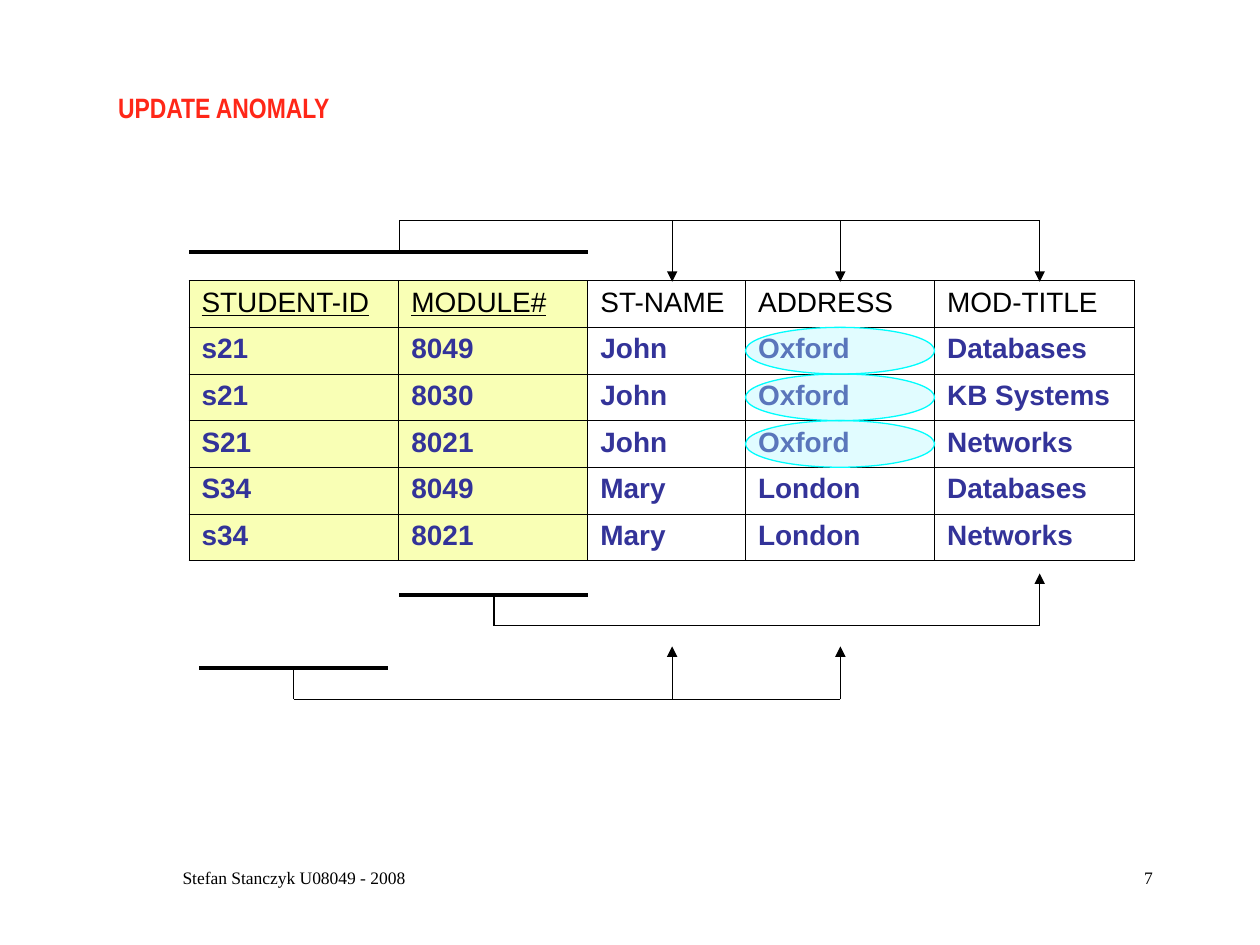
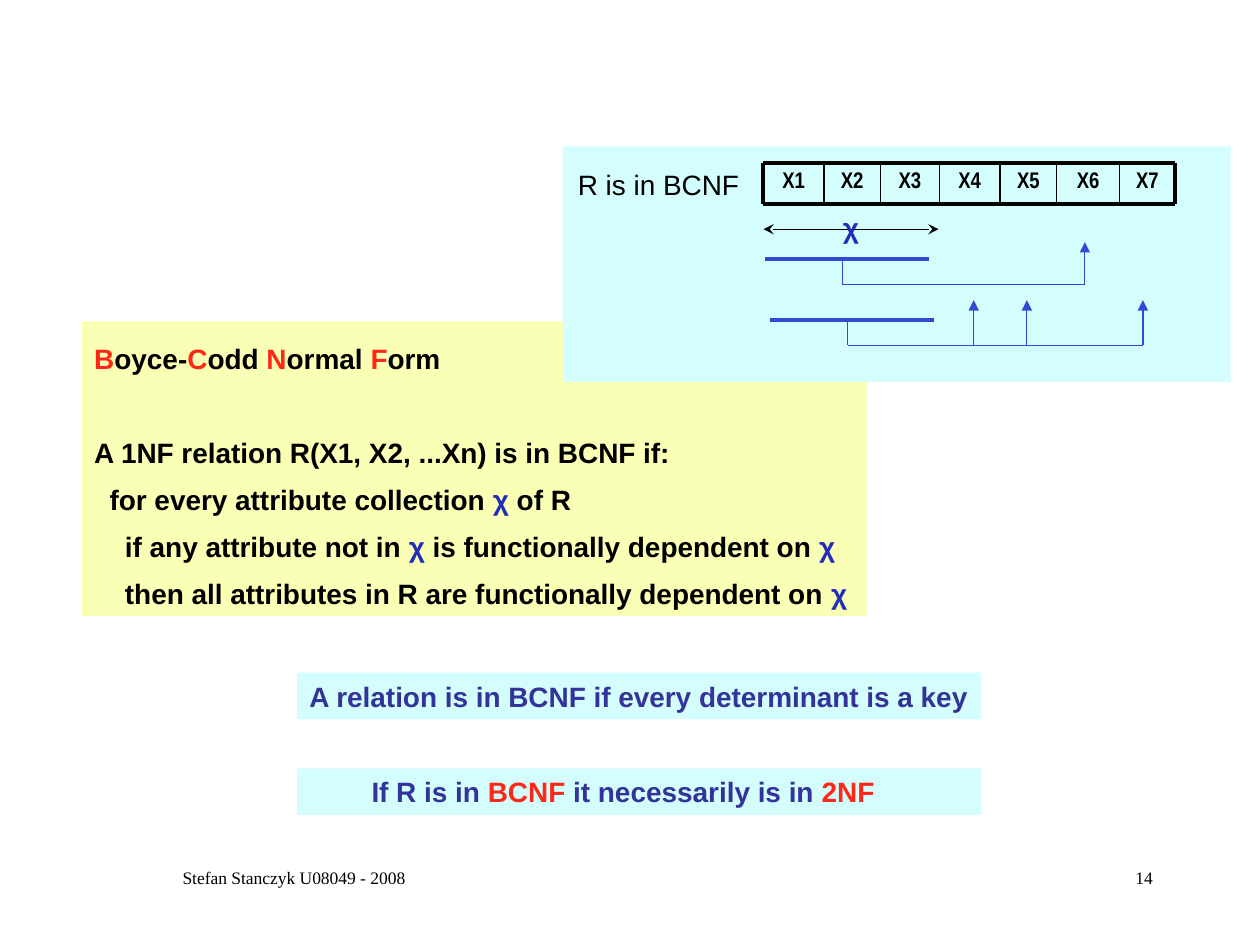
import itertools

import pptx
import pptx.dml.color
import pptx.enum.shapes
import pptx.enum.text
import pptx.oxml
import pptx.oxml.ns
import pptx.util
from lxml import etree

Cm = pptx.util.Cm
Pt = pptx.util.Pt
RGBColor = pptx.dml.color.RGBColor
ALIGN = pptx.enum.text.PP_ALIGN
SHAPE = pptx.enum.shapes.MSO_SHAPE
qn = pptx.oxml.ns.qn

BLACK = RGBColor(0x00, 0x00, 0x00)
RED = RGBColor(0xFF, 0x27, 0x18)
INDIGO = RGBColor(0x33, 0x33, 0x99)
CHI_BLUE = RGBColor(0x23, 0x2E, 0xB7)
LINE_BLUE = RGBColor(0x32, 0x4A, 0xD3)
YELLOW = RGBColor(0xF9, 0xFF, 0xB5)
PALE_CYAN = RGBColor(0xD4, 0xFD, 0xFD)
MARKER_FILL = RGBColor(0xA8, 0xF8, 0xFF)
MARKER_LINE = RGBColor(0x00, 0xFD, 0xFD)

INSET = 0.25
LINE_HEIGHT = 0.94
CHI = ("χ", CHI_BLUE)

STUDENT_ROWS = [
    ["STUDENT-ID", "MODULE#", "ST-NAME", "ADDRESS", "MOD-TITLE"],
    ["s21", "8049", "John", "Oxford", "Databases"],
    ["s21", "8030", "John", "Oxford", "KB Systems"],
    ["S21", "8021", "John", "Oxford", "Networks"],
    ["S34", "8049", "Mary", "London", "Databases"],
    ["s34", "8021", "Mary", "London", "Networks"],
]
STUDENT_WIDTHS = [4.23, 3.81, 3.18, 3.81, 4.02]
KEY_COLUMNS = 2
ADDRESS_COLUMN = 3
ATTRIBUTE_WIDTHS = [1.22, 1.14, 1.19, 1.22, 1.14, 1.27, 1.12]


def format_run(run, color, size=16, font="Arial", bold=True):
    """Set the font of one run."""
    run.font.name = font
    run.font.size = Pt(size)
    run.font.bold = bold
    run.font.color.rgb = color


def add_box(slide, kind, left, top, width, height, fill):
    """Add a filled preset shape without shadow or outline."""
    shape = slide.shapes.add_shape(kind, Cm(left), Cm(top), Cm(width), Cm(height))
    shape.shadow.inherit = False
    shape.fill.solid()
    shape.fill.fore_color.rgb = fill
    shape.line.fill.background()
    return shape


def add_text(slide, left, top, width, height, paragraphs, fill=None,
             align=ALIGN.LEFT, spacing=None, **font):
    """Add a text box, filled if asked, whose paragraphs are lists of (text, colour)."""
    if fill is None:
        shape = slide.shapes.add_textbox(Cm(left), Cm(top), Cm(width), Cm(height))
    else:
        shape = add_box(slide, SHAPE.RECTANGLE, left, top, width, height, fill)
    frame = shape.text_frame
    frame.word_wrap = True
    frame.vertical_anchor = pptx.enum.text.MSO_ANCHOR.TOP
    frame.margin_left = Cm(INSET)
    frame.margin_right = Cm(0 if align == ALIGN.LEFT else INSET)
    frame.margin_top = frame.margin_bottom = Cm(0.13)
    for index, runs in enumerate(paragraphs):
        paragraph = frame.add_paragraph() if index else frame.paragraphs[0]
        paragraph.alignment = align
        if spacing:
            paragraph.line_spacing = spacing
        for text, color in runs:
            run = paragraph.add_run()
            run.text = text
            format_run(run, color, **font)
    return frame


def indent(paragraph, length):
    """Set the left margin of a paragraph."""
    paragraph._p.get_or_add_pPr().set("marL", str(Cm(length)))


def add_line(slide, start, end, color=BLACK, width=0.75, head=None, tail=None):
    """Draw a straight line between two points, with optional arrowheads."""
    connector = slide.shapes.add_connector(
        pptx.enum.shapes.MSO_CONNECTOR.STRAIGHT, *map(Cm, start + end))
    connector.line.color.rgb = color
    connector.line.width = Pt(width)
    outline = connector.line._get_or_add_ln()
    for tag, arrow in (("a:headEnd", head), ("a:tailEnd", tail)):
        if arrow:
            etree.SubElement(outline, qn(tag)).set("type", arrow)
    etree.SubElement(connector._element.spPr, qn("a:effectLst"))


def add_dependency(slide, left, top, bar, bar_y, stem_x, rail_y, targets, tip_y,
                   color=BLACK):
    """Draw a determinant bar joined by a rail to arrows at its dependents."""
    def draw(x1, y1, x2, y2, **style):
        add_line(slide, (left + x1, top + y1), (left + x2, top + y2), color, **style)

    draw(bar[0], bar_y, bar[1], bar_y, width=2.25)
    draw(stem_x, bar_y, stem_x, rail_y)
    draw(stem_x, rail_y, targets[-1], rail_y)
    for target in targets:
        draw(target, rail_y, target, tip_y, tail="triangle")


def add_footer(slide, number):
    """Add the author line and the slide number."""
    style = {"size": 10, "font": "Times New Roman", "bold": False}
    add_text(slide, 1.9, 17.35, 8.05, 1.27,
             [[("Stefan Stanczyk U08049 - 2008", BLACK)]], align=ALIGN.CENTER, **style)
    add_text(slide, 18.21, 17.35, 5.28, 1.27,
             [[(str(number), BLACK)]], align=ALIGN.RIGHT, **style)


def border_cell(cell):
    """Give a table cell thin black borders on all sides."""
    properties = cell._tc.get_or_add_tcPr()
    for side in ("lnL", "lnR", "lnT", "lnB"):
        border = etree.SubElement(properties, qn(f"a:{side}"), w=str(Pt(0.45)))
        fill = etree.SubElement(border, qn("a:solidFill"))
        etree.SubElement(fill, qn("a:srgbClr"), val=str(BLACK))


def add_student_table(slide, left, top):
    """Add the student table with its key columns shaded."""
    table = slide.shapes.add_table(
        len(STUDENT_ROWS), len(STUDENT_WIDTHS), Cm(left), Cm(top),
        Cm(sum(STUDENT_WIDTHS)), Cm(LINE_HEIGHT * len(STUDENT_ROWS))).table
    table.first_row = table.horz_banding = False
    for column, width in zip(table.columns, STUDENT_WIDTHS):
        column.width = Cm(width)
    for row_index, values in enumerate(STUDENT_ROWS):
        table.rows[row_index].height = Cm(LINE_HEIGHT)
        is_header = row_index == 0
        for column_index, value in enumerate(values):
            cell = table.cell(row_index, column_index)
            is_key = column_index < KEY_COLUMNS
            cell.text = value
            border_cell(cell)
            if is_key:
                cell.fill.solid()
                cell.fill.fore_color.rgb = YELLOW
            else:
                cell.fill.background()
            run = cell.text_frame.paragraphs[0].runs[0]
            format_run(run, BLACK if is_header else INDIGO, bold=not is_header)
            run.font.underline = is_header and is_key


def add_address_markers(slide, left, top):
    """Ring the repeated addresses with translucent ellipses."""
    column_left = left + sum(STUDENT_WIDTHS[:ADDRESS_COLUMN])
    for row_index, values in enumerate(STUDENT_ROWS):
        if values[ADDRESS_COLUMN] != "Oxford":
            continue
        marker = add_box(slide, SHAPE.OVAL, column_left, top + row_index * LINE_HEIGHT,
                         STUDENT_WIDTHS[ADDRESS_COLUMN], LINE_HEIGHT, MARKER_FILL)
        color = marker._element.spPr.find(qn("a:solidFill"))[0]
        etree.SubElement(color, qn("a:alpha"), val="34000")
        marker.line.color.rgb = MARKER_LINE
        marker.line.width = Pt(0.75)


def add_attribute_strip(slide, left, top, height=0.84):
    """Draw the row of attributes X1 to X7 in a heavy frame."""
    edges = [left, *itertools.accumulate(ATTRIBUTE_WIDTHS, initial=left)][1:]
    right, bottom = edges[-1], top + height
    for index, width in enumerate(ATTRIBUTE_WIDTHS):
        add_text(slide, edges[index], top, width, height, [[(f"X{index + 1}", BLACK)]],
                 align=ALIGN.CENTER, spacing=0.9, size=12.9, font="Arial Narrow")
    for y in (top, bottom):
        add_line(slide, (left, y), (right, y), width=2.25)
    for x in edges:
        add_line(slide, (x, top), (x, bottom), width=2.25 if x in (left, right) else 1)


def add_bcnf_panel(slide, left, top):
    """Draw the example relation with its dependencies."""
    add_box(slide, SHAPE.RECTANGLE, left, top, 13.46, 4.75, PALE_CYAN)
    add_attribute_strip(slide, left + 4.04, top + 0.33)
    add_dependency(slide, left, top, (4.07, 7.37), 2.28, 5.64, 2.79,
                   [10.52], 1.93, LINE_BLUE)
    add_dependency(slide, left, top, (4.17, 7.47), 3.5, 5.74, 4.01,
                   [8.28, 9.35, 11.69], 3.1, LINE_BLUE)
    add_line(slide, (left + 4.04, top + 1.67), (left + 7.57, top + 1.67),
             head="stealth", tail="stealth")
    add_text(slide, left + 5.39, top + 1.16, 0.81, LINE_HEIGHT, [[CHI]])
    add_text(slide, left + 0.05, top + 0.3, 3.76, LINE_HEIGHT,
             [[("R is in BCNF", BLACK)]], bold=False)


def add_definition(slide, left, top):
    """Write the definition of the normal form on yellow."""
    frame = add_text(slide, left, top, 15.82, 5.94, [
        [("B", RED), ("oyce-", BLACK), ("C", RED), ("odd ", BLACK),
         ("N", RED), ("ormal ", BLACK), ("F", RED), ("orm", BLACK)],
        [("A 1NF relation R(X1, X2, ...Xn) is in BCNF if:", BLACK)],
        [("for every attribute collection ", BLACK), CHI, (" of R", BLACK)],
        [("if any attribute not in ", BLACK), CHI,
         (" is functionally dependent on ", BLACK), CHI],
        [("then all attributes in R are functionally dependent on ", BLACK), CHI],
    ], fill=YELLOW, spacing=1.4)
    frame.paragraphs[1].space_before = Pt(26.8)
    for paragraph, level in zip(frame.paragraphs, (0, 0, 1, 2, 2)):
        indent(paragraph, 0.31 * level)


def build_anomaly_slide(slide):
    """Build the slide on the update anomaly."""
    left, top = 3.81, 5.66
    name, address, title = 9.74, 13.13, 17.15
    add_student_table(slide, left, top)
    add_dependency(slide, left, top, (0, 8.05), -0.58, 4.24, -1.21,
                   [name, address, title], 0.02)
    add_dependency(slide, left, top, (4.24, 8.05), 6.33, 6.15, 6.95, [title], 5.9)
    add_dependency(slide, left, top, (0.21, 4.02), 7.8, 2.11, 8.44,
                   [name, address], 7.37)
    add_text(slide, 2.13, 1.7, 4.85, LINE_HEIGHT, [[("UPDATE ANOMALY", RED)]],
             font="Arial Narrow")
    add_address_markers(slide, left, top)
    add_footer(slide, 7)


def build_bcnf_slide(slide):
    """Build the slide on Boyce-Codd normal form."""
    add_definition(slide, 1.65, 6.48)
    add_text(slide, 5.99, 13.56, 13.79, LINE_HEIGHT,
             [[("A relation is in BCNF if every determinant is a key", INDIGO)]],
             fill=PALE_CYAN)
    add_bcnf_panel(slide, 11.35, 2.95)
    frame = add_text(slide, 5.99, 15.49, 13.79, LINE_HEIGHT,
                     [[("If R is in ", INDIGO), ("BCNF", RED),
                       (" it necessarily is in ", INDIGO), ("2NF", RED)]],
                     fill=PALE_CYAN)
    indent(frame.paragraphs[0], 1.25)
    add_footer(slide, 14)


def main():
    """Build and save the presentation."""
    presentation = pptx.Presentation()
    presentation.slide_width = Cm(25.4)
    presentation.slide_height = Cm(19.05)
    for build in (build_anomaly_slide, build_bcnf_slide):
        build(presentation.slides.add_slide(presentation.slide_layouts[6]))
    presentation.save("out.pptx")


if __name__ == "__main__":
    main()
